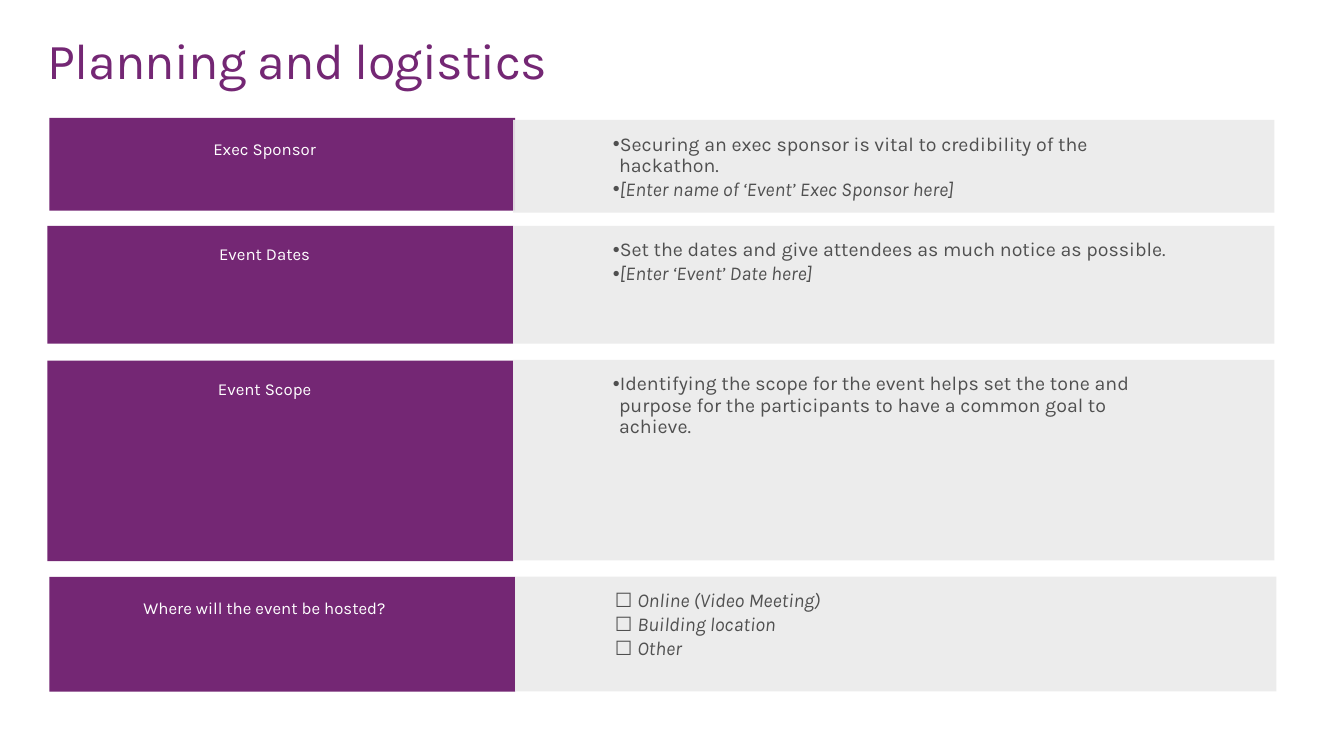
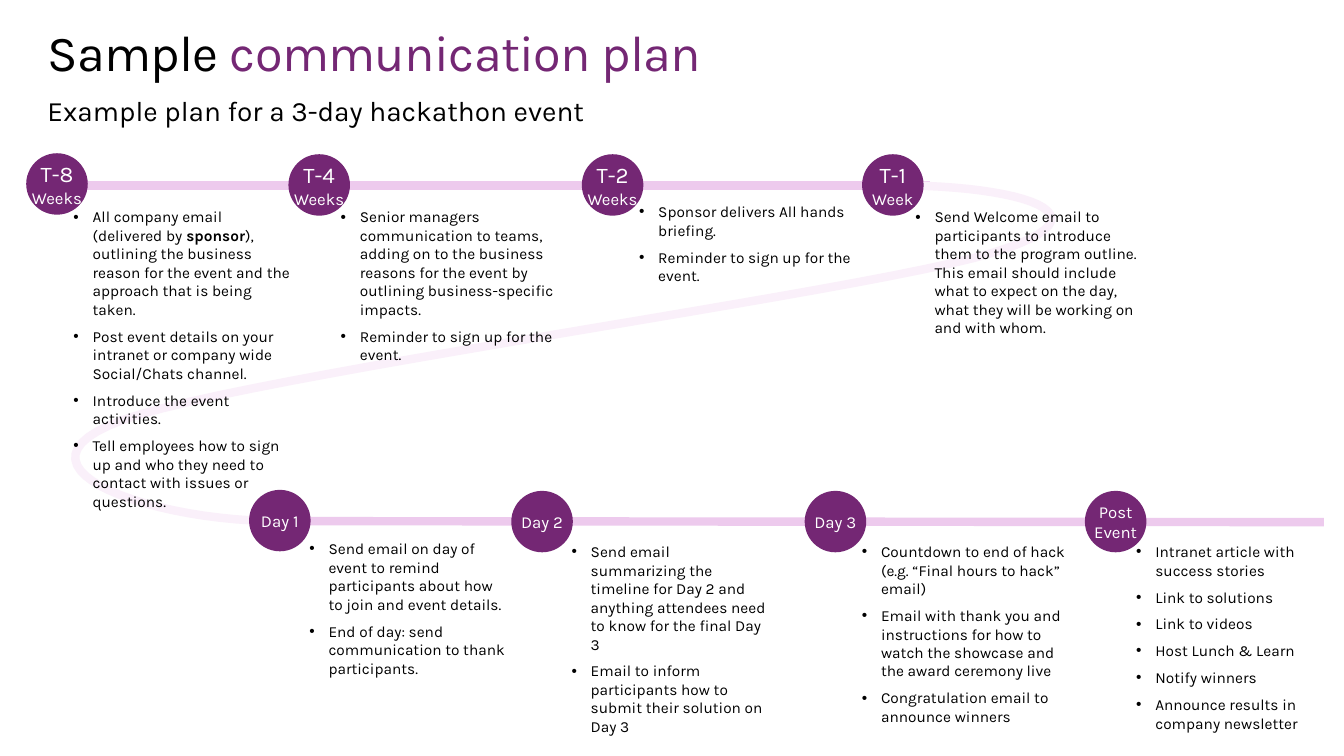
import pptx
import pptx.util
import pptx.dml.color
import pptx.enum.shapes
import pptx.enum.text
import pptx.oxml

PURPLE, LILAC, BLUSH = "742774", "EDCAED", "FAF0FA"
GREY, INK, BLACK, WHITE = "EBEBEB", "505050", "000000", "FFFFFF"
FONT = "Karla"
WIDE, HIGH = pptx.util.Inches(13.33), pptx.util.Inches(7.5)
ANCHOR = pptx.enum.text.MSO_ANCHOR
ALIGN = pptx.enum.text.PP_ALIGN
SHAPE = pptx.enum.shapes.MSO_SHAPE
NS = 'xmlns:a="http://schemas.openxmlformats.org/drawingml/2006/main"'

# Paragraph formats, and the hanging indent in inches where bullets are used
TITLE = {"alignment": ALIGN.LEFT}
MID = {"alignment": ALIGN.CENTER}
LABEL = {"alignment": ALIGN.CENTER, "line_spacing": 0.9}
PANEL = {"alignment": ALIGN.LEFT, "line_spacing": 0.9, "space_after": pptx.util.Pt(2)}
NOTE = {"space_after": pptx.util.Pt(6)}
PANEL_HANG, NOTE_HANG = 0.06, 0.19
SLANT = {"italic": True}

BAND_W, PANEL_W = 34.66, 56.64
DISC_W, DISC_H = 4.58, 8.13
DISCS = (1.95, 21.46, 43.29, 64.14)
DISC_TOP = 20.4
SHIFT_X, SHIFT_Y = 16.58, 44.53

# band left, band top, panel left, panel top, height, label top, bullets?, lines
PLANS = [
    ("Exec Sponsor", 3.68, 15.6, 38.18, 15.87, 12.27, 18, True, [
        "Securing an exec sponsor is vital to credibility of the hackathon.",
        [("[Enter name of ‘Event’ Exec Sponsor here]", SLANT)]]),
    ("Event Dates", 3.53, 29.87, 38.18, 29.87, 15.6, 31.87, True, [
        "Set the dates and give attendees as much notice as possible.",
        [("[Enter ‘Event’ Date here]", SLANT)]]),
    ("Event Scope", 3.53, 47.7, 38.18, 47.6, 26.53, 49.73, True, [
        "Identifying the scope for the event helps set the tone and purpose "
        "for the participants to have a common goal to achieve."]),
    ("Where will the event be hosted?", 3.68, 76.3, 38.33, 76.27, 15.2, 78.67, False, [
        [("☐ ", {}), (place, SLANT)]
        for place in ("Online (Video Meeting)", "Building location", "Other")]),
]

# disc lines, note box, note lines; four steps to a row
STEPS = [
    (("T-8", "Weeks"), (4.73, 26.8, 17.63, 39.33), [
        [("All company email (delivered by ", {}), ("sponsor", {"bold": True}),
         ("), outlining the business reason for the event and the approach "
          "that is being taken.", {})],
        "Post event details on your intranet or company wide Social/Chats channel.",
        "Introduce the event activities.",
        "Tell employees how to sign up and who they need to contact with "
        "issues or questions."]),
    (("T-4", "Weeks"), (24.61, 26.8, 19.2, 22.27), [
        "Senior managers communication to teams, adding on to the business "
        "reasons for the event by outlining business-specific impacts.",
        "Reminder to sign up for the event."]),
    (("T-2", "Weeks"), (46.81, 26.13, 17.4, 12.4), [
        "Sponsor delivers All hands briefing.",
        "Reminder to sign up for the event."]),
    (("T-1", "Week"), (67.37, 26.8, 19.05, 18.67), [
        "Send Welcome email to participants to introduce them to the program "
        "outline. This email should include what to expect on the day, what "
        "they will be working on and with whom."]),
    (("Day 1",), (22.28, 70.67, 16.05, 19.73), [
        "Send email on day of event to remind participants about how to join "
        "and event details.",
        "End of day: send communication to thank participants."]),
    (("Day 2",), (41.79, 71.07, 16.05, 24.67), [
        "Send email summarizing the timeline for Day 2 and anything attendees "
        "need to know for the final Day 3",
        "Email to inform participants how to submit their solution on Day 3"]),
    (("Day 3",), (63.39, 71.07, 17.03, 25.87), [
        "Countdown to end of hack (e.g. “Final hours to hack” email)",
        "Email with thank you and instructions for how to watch the showcase "
        "and the award ceremony live",
        "Congratulation email to announce winners"]),
    (("Post", "Event"), (83.8, 71.07, 16.05, 30.27), [
        "Intranet article with success stories", "Link to solutions",
        "Link to videos", "Host Lunch & Learn", "Notify winners",
        "Announce results in company newsletter"]),
]

BEND = [(66.77, 24.53), (75.62, 24.53), (83.42, 28.27), (73.82, 33.47),
        (64.14, 38.67), (18.08, 49.73), (9.08, 55.6),
        (0.08, 61.47), (10.28, 68.53), (19.95, 68.93)]


def tint(code):
    return pptx.dml.color.RGBColor.from_string(code)


def spot(left, top):
    """Turn percent shares of the slide into lengths."""
    return int(WIDE * left / 100), int(HIGH * top / 100)


def area(left, top, wide, high):
    return spot(left, top) + spot(wide, high)


def apply(item, looks):
    for key, value in looks.items():
        setattr(item, key, value)


def inset(frame, left=0, top=0, right=0, low=0):
    sides = {"left": left, "top": top, "right": right, "bottom": low}
    apply(frame, {"margin_" + side: pptx.util.Inches(size) for side, size in sides.items()})


def hang(para, size):
    """Give a paragraph a bullet with a hanging indent in inches."""
    prop = para._p.get_or_add_pPr()
    step = int(pptx.util.Inches(size))
    prop.set("marL", str(step))
    prop.set("indent", str(-step))
    prop.append(pptx.oxml.parse_xml(f'<a:buFont {NS} typeface="Arial"/>'))
    prop.append(pptx.oxml.parse_xml(f'<a:buChar {NS} char="•"/>'))


def write(frame, lines, size, color, form, dent=0):
    """Fill a frame; a line is a string or a list of (text, font looks)."""
    for num, line in enumerate(lines):
        para = frame.add_paragraph() if num else frame.paragraphs[0]
        if dent:
            hang(para, dent)
        apply(para, form)
        for text, looks in [(line, {})] if isinstance(line, str) else line:
            run = para.add_run()
            run.text = text
            looks = {"size": size, "color": color, **looks}
            run.font.color.rgb = tint(looks.pop("color"))
            looks["size"] = pptx.util.Pt(looks["size"])
            apply(run.font, {"name": FONT, **looks})


def head(slide, top, parts):
    title = slide.shapes.title
    place = area(3.53, top, 93, 8.13)
    apply(title, dict(zip(("left", "top", "width", "height"), place)))
    frame = title.text_frame
    inset(frame)
    apply(frame, {"vertical_anchor": ANCHOR.TOP, "word_wrap": True,
                  "auto_size": pptx.enum.text.MSO_AUTO_SIZE.NONE})
    write(frame, [parts], 36, PURPLE, TITLE)
    for run in frame.paragraphs[0].runs:
        run._r.get_or_add_rPr().set("spc", "-50")


def block(slide, kind, box, color):
    shape = slide.shapes.add_shape(kind, *area(*box))
    shape.shadow.inherit = False
    shape.fill.solid()
    shape.fill.fore_color.rgb = tint(color)
    shape.line.fill.background()
    return shape


def note(slide, box, lines, size, color, form, dent=0):
    frame = slide.shapes.add_textbox(*area(*box)).text_frame
    frame.word_wrap = True
    write(frame, lines, size, color, form, dent)
    return frame


def panel(slide, box, lines, dent):
    shape = block(slide, SHAPE.RECTANGLE, box, GREY)
    shade = shape.fill._xPr.find(".//{*}srgbClr")
    shade.append(pptx.oxml.parse_xml(f'<a:alpha {NS} val="90000"/>'))
    frame = shape.text_frame
    inset(frame, 0.99, 0.14, 0.99, 0.05)
    apply(frame, {"word_wrap": True, "vertical_anchor": ANCHOR.TOP})
    write(frame, lines, 14, INK, PANEL, dent)


def disc(slide, left, top, lines):
    shape = block(slide, SHAPE.OVAL, (left, top, DISC_W, DISC_H), PURPLE)
    frame = shape.text_frame
    inset(frame, 0.2, 0.16, 0.2, 0.16)
    apply(frame, {"word_wrap": False, "vertical_anchor": ANCHOR.MIDDLE})
    lines = [[(line, {"size": 16 if line.startswith("T-") else 12})] for line in lines]
    write(frame, lines, 12, WHITE, MID)


def stroke(item, color):
    item.line.color.rgb = tint(color)
    item.line.width = pptx.util.Pt(6)


def track(slide, start, end):
    line = slide.shapes.add_connector(
        pptx.enum.shapes.MSO_CONNECTOR.STRAIGHT, *spot(*start), *spot(*end))
    stroke(line, LILAC)
    line._element.spPr.append(pptx.oxml.parse_xml(f"<a:effectLst {NS}/>"))


def trace(knots, steps=24):
    """Sample a chain of cubic curves that share their end points."""
    dots = [knots[0]]
    for first in range(0, len(knots) - 1, 3):
        quad = knots[first:first + 4]
        for step in range(1, steps + 1):
            t = step / steps
            share = ((1 - t) ** 3, 3 * t * (1 - t) ** 2, 3 * t * t * (1 - t), t ** 3)
            dots.append(tuple(sum(s * k[axis] for s, k in zip(share, quad))
                              for axis in (0, 1)))
    return dots


def bend(slide, knots):
    dots = [spot(*dot) for dot in trace(knots)]
    pen = slide.shapes.build_freeform(*dots[0])
    pen.add_line_segments(dots[1:], close=False)
    shape = pen.convert_to_shape()
    shape.shadow.inherit = False
    shape.fill.background()
    stroke(shape, BLUSH)


def plan(slide):
    head(slide, 3.87, [("Planning and logistics", {})])
    for name, left, top, side, rise, high, drop, dots, lines in PLANS:
        block(slide, SHAPE.RECTANGLE, (left, top, BAND_W, high), PURPLE)
        note(slide, (2.1, drop, 35.18, 3.73), [name], 12, WHITE, LABEL)
        panel(slide, (side, rise, PANEL_W, high), lines, PANEL_HANG if dots else 0)


def comms(slide):
    head(slide, 2.8, [("Sample ", {"color": BLACK}), ("communication plan", {})])
    inset(note(slide, (3.53, 12.4, 64.58, 4.53),
               ["Example plan for a 3-day hackathon event"], 20, BLACK, TITLE))
    track(slide, (3.83, 24.53), (69.17, 24.53))
    track(slide, (19.95, 68.93), (98.5, 69.07))
    bend(slide, BEND)
    for num, (lines, box, notes) in enumerate(STEPS):
        row, col = divmod(num, len(DISCS))
        lift = 0 if col else 0.13
        disc(slide, DISCS[col] + row * SHIFT_X, DISC_TOP + row * SHIFT_Y - lift, lines)
        note(slide, box, notes, 11, BLACK, NOTE, NOTE_HANG)


def main():
    deck = pptx.Presentation()
    apply(deck, {"slide_width": WIDE, "slide_height": HIGH})
    for draw in (plan, comms):
        draw(deck.slides.add_slide(deck.slide_layouts[5]))
    deck.save("out.pptx")


if __name__ == "__main__":
    main()
